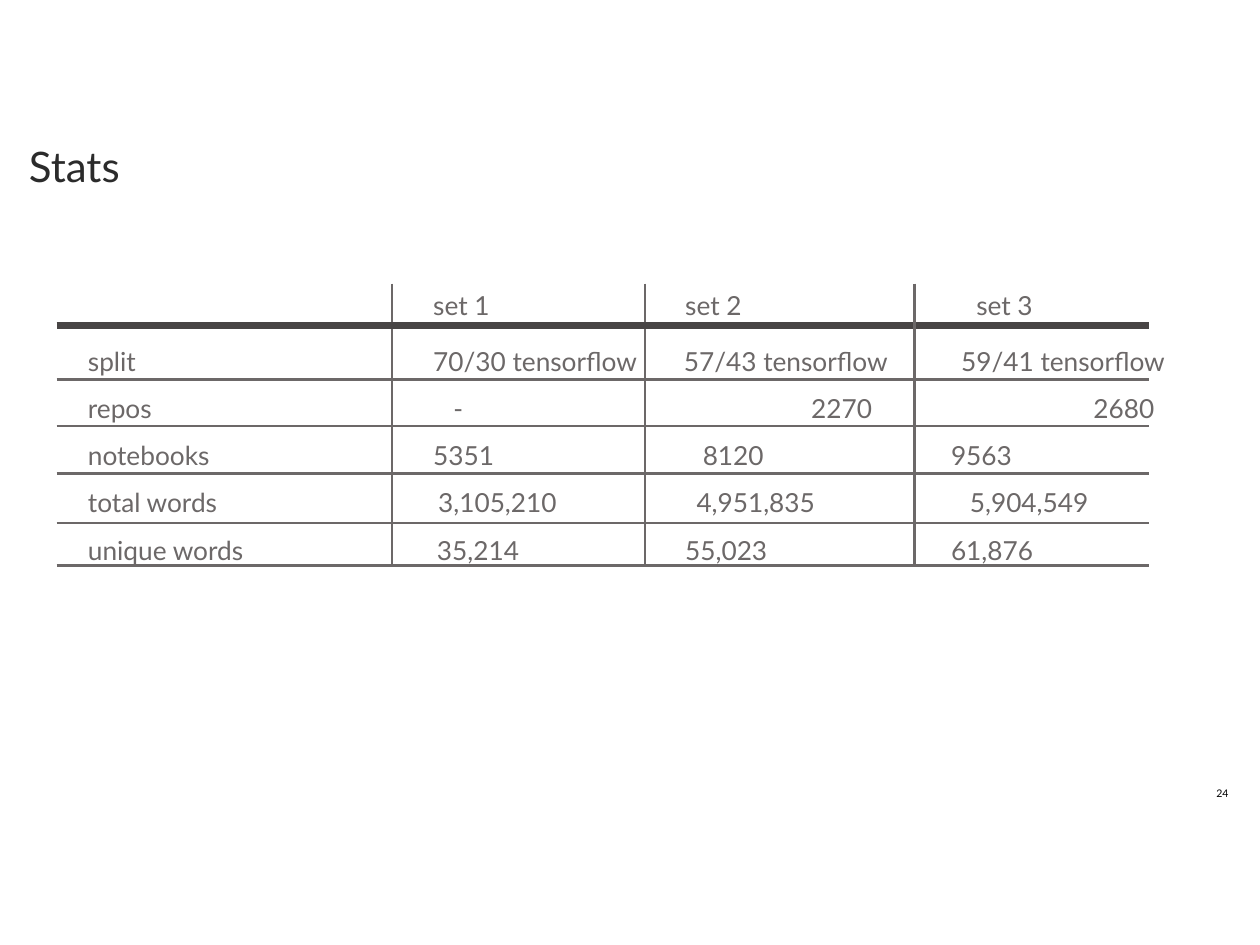
from pptx import Presentation
from pptx.dml.color import RGBColor
from pptx.enum.shapes import MSO_CONNECTOR as Conn
from pptx.enum.text import MSO_ANCHOR as Anchor, PP_ALIGN as Align
from pptx.oxml.ns import qn
from pptx.util import Inches, Pt
from lxml.etree import SubElement

# Content: cells of each row, and where its three values start
ROWS = [
    (("", "set 1", "set 2", "set 3"), (3.44, 5.44, 7.75)),
    (("split", "70/30 tensorflow", "57/43 tensorflow", "59/41 tensorflow"),
     (3.44, 5.43, 7.63)),
    (("repos", "-", "2270", "2680"), (3.60, 6.44, 8.68)),
    (("notebooks", "5351", "8120", "9563"), (3.44, 5.58, 7.55)),
    (("total words", "3,105,210", "4,951,835", "5,904,549"), (3.48, 5.53, 7.70)),
    (("unique words", "35,214", "55,023", "61,876"), (3.47, 5.44, 7.55)),
]
COLS = (3.11, 5.12, 7.26)
RULES = (3.01, 3.38, 3.76, 4.15, 4.49)
LEFT, RIGHT, TOP, HEAD = 0.45, 9.12, 2.25, 2.58
BOX, INSET = (0.6, TOP, 8.8, 2.32), 0.1
GREY, DARK, INK, BLACK = "6C6868", "484545", "2B2B2B", "000000"


def color(code):
    return RGBColor.from_string(code)


def style(par, size, code, **form):
    for key, val in form.items():
        setattr(par, key, val)
    par.font.name, par.font.size = "Lato", Pt(size)
    par.font.color.rgb = color(code)


def frame(shape, **form):
    text = shape.text_frame
    for key, val in {"word_wrap": True, **form}.items():
        setattr(text, key, val)
    return text


def rule(x1, y1, x2, y2, code=GREY, width=1.5):
    line = slide.shapes.add_connector(Conn.STRAIGHT, *map(Inches, (x1, y1, x2, y2)))
    line.line.color.rgb, line.line.width = color(code), Pt(width)
    SubElement(line._element.spPr, qn("a:effectLst"))


def tabs(par, stops):
    group = SubElement(par._p.get_or_add_pPr(), qn("a:tabLst"))
    for stop in stops:
        pos = Inches(round(stop - BOX[0] - INSET, 2))
        SubElement(group, qn("a:tab"), pos=str(pos), algn="l")


deck = Presentation()
deck.slide_width, deck.slide_height = Inches(10), Inches(7.5)
slide = deck.slides.add_slide(deck.slide_layouts[5])
FLAT = dict.fromkeys(("margin_left", "margin_right", "margin_top", "margin_bottom"), 0)

# Title
title = slide.shapes.title
title.left, title.top, title.width, title.height = map(Inches, (0.23, 1.16, 7.99, 1.21))
text = frame(title, vertical_anchor=Anchor.TOP, **FLAT)
text.text = "Stats"
style(text.paragraphs[0], 24, INK, alignment=Align.LEFT, line_spacing=0.9)

# Page number
page = slide.shapes.add_textbox(*map(Inches, (7.5, 6.22, 2.25, 0.15)))
text = frame(page, vertical_anchor=Anchor.MIDDLE, **FLAT)
text.text = "24"
style(text.paragraphs[0], 6, BLACK, alignment=Align.RIGHT)

# Rows of figures, set on tab stops
text = frame(slide.shapes.add_textbox(*map(Inches, BOX)))
for i, (cells, stops) in enumerate(ROWS):
    par = text.paragraphs[0] if i == 0 else text.add_paragraph()
    par.text = "\t".join(cells)
    tabs(par, stops)
    style(par, 15, GREY, space_before=Pt(13.5 if i == 1 else 0),
          space_after=Pt(9 if i else 0))

# Grid lines
for x in COLS[:2]:
    rule(x, TOP, x, RULES[-1])
for y in RULES:
    rule(LEFT, y, RIGHT, y)
rule(LEFT, HEAD, RIGHT, HEAD, DARK, 4)
rule(COLS[2], TOP, COLS[2], RULES[-1])

deck.save("out.pptx")
